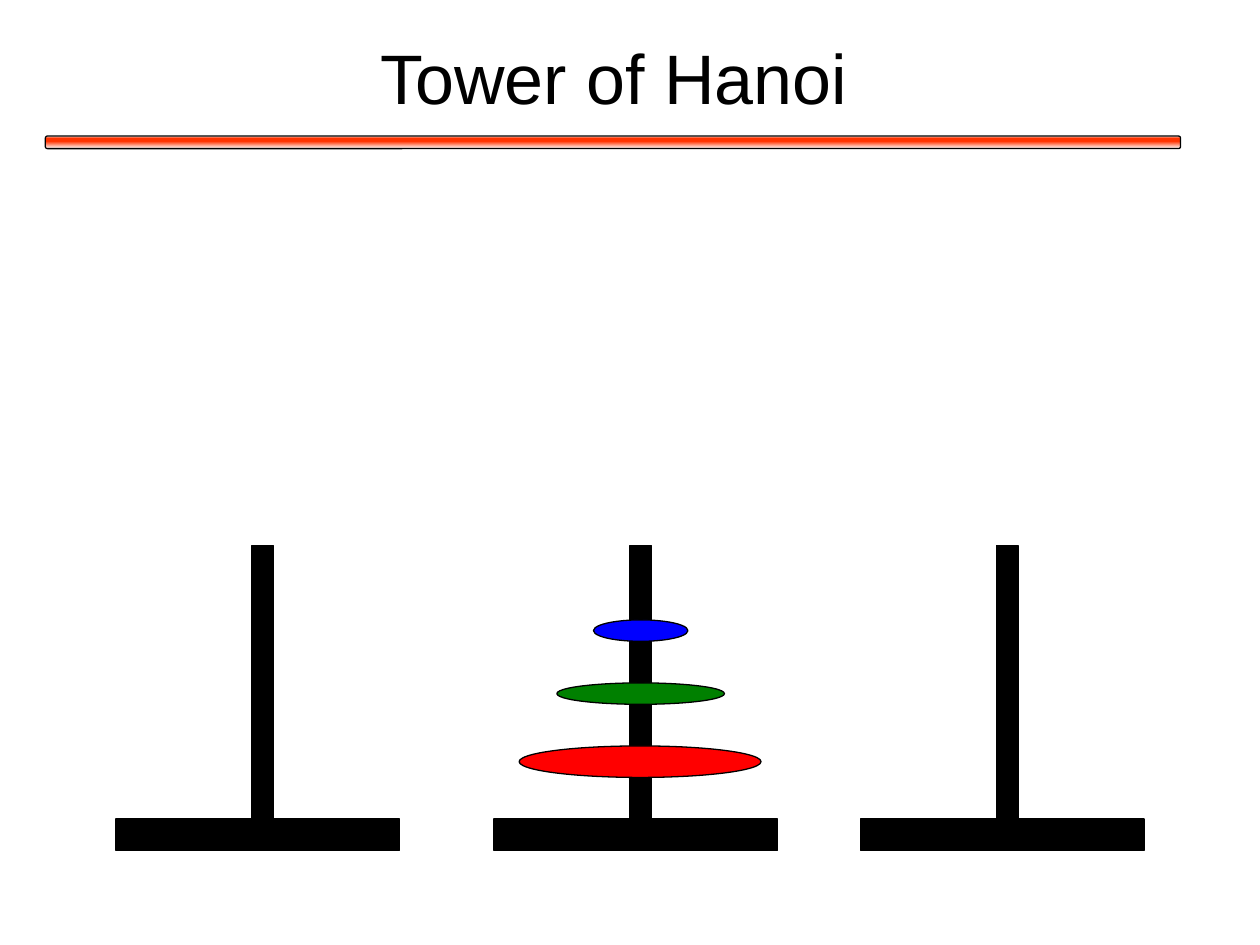
"""Build the Tower of Hanoi slide with three pegs and three discs."""
import pptx
import pptx.dml.color
import pptx.enum.shapes
import pptx.enum.text
import pptx.oxml.ns
import pptx.util
from lxml import etree
from pptx.util import Inches

TITLE = "Tower of Hanoi"
PEG_LEFTS = [0.92, 3.92, 6.83]
DISCS = [
    ("red", 4.12, 5.92, 1.92, 0.25),
    ("green", 4.42, 5.42, 1.33, 0.17),
    ("blue", 4.71, 4.92, 0.75, 0.17),
]
BASE_TOP, BASE_WIDTH, BASE_HEIGHT = 6.5, 2.25, 0.25
POLE_OFFSET, POLE_WIDTH, POLE_HEIGHT = 1.08, 0.17, 2.17
THEME = {
    "font": "Arial",
    "title_size": 40,
    "line_width": 0.75,
    "black": "000000",
    "red": "FF0000",
    "green": "008000",
    "blue": "0000FF",
    "bar_stops": [(0, "FFFFFF"), (16, "FF3300"), (42, "FF3300"), (100, "FFFFFF")],
}
SHAPES = pptx.enum.shapes.MSO_SHAPE


def color(name):
    return pptx.dml.color.RGBColor.from_string(THEME[name])


def add_outlined(shapes, kind, box, fill=None):
    shape = shapes.add_shape(kind, *map(Inches, box))
    shape.shadow.inherit = False
    shape.line.color.rgb = color("black")
    shape.line.width = pptx.util.Pt(THEME["line_width"])
    if fill:
        shape.fill.solid()
        shape.fill.fore_color.rgb = color(fill)
    return shape


def add_title_bar(shapes):
    bar = add_outlined(shapes, SHAPES.ROUNDED_RECTANGLE, (0.36, 1.08, 9.01, 0.1))
    bar.adjustments[0] = 0.167
    bar.fill.gradient()
    bar.fill.gradient_angle = 270
    qn = pptx.oxml.ns.qn
    stop_list = bar.element.spPr.find(".//" + qn("a:gsLst"))
    for stop in list(stop_list):
        stop_list.remove(stop)
    for percent, value in THEME["bar_stops"]:
        stop = etree.SubElement(stop_list, qn("a:gs"), pos=str(percent * 1000))
        etree.SubElement(stop, qn("a:srgbClr"), val=value)


def format_title(title):
    title.left, title.top, title.width, title.height = map(Inches, (0.37, 0.11, 9, 0.99))
    frame = title.text_frame
    frame.text = TITLE
    frame.vertical_anchor = pptx.enum.text.MSO_ANCHOR.MIDDLE
    paragraph = frame.paragraphs[0]
    paragraph.alignment = pptx.enum.text.PP_ALIGN.CENTER
    font = paragraph.runs[0].font
    font.name = THEME["font"]
    font.size = pptx.util.Pt(THEME["title_size"])
    font.color.rgb = color("black")


def add_peg(shapes, left):
    peg = shapes.add_group_shape()
    base = (left, BASE_TOP, BASE_WIDTH, BASE_HEIGHT)
    pole = (left + POLE_OFFSET, BASE_TOP - POLE_HEIGHT, POLE_WIDTH, POLE_HEIGHT)
    for box in (base, pole):
        add_outlined(peg.shapes, SHAPES.RECTANGLE, box, "black")


presentation = pptx.Presentation()
presentation.slide_width, presentation.slide_height = Inches(10), Inches(7.5)
slide = presentation.slides.add_slide(presentation.slide_layouts[5])
format_title(slide.shapes.title)
add_title_bar(slide.shapes)
for peg_left in PEG_LEFTS:
    add_peg(slide.shapes, peg_left)
for fill_name, *disc_box in DISCS:
    add_outlined(slide.shapes, SHAPES.OVAL, disc_box, fill_name)
presentation.save("out.pptx")
